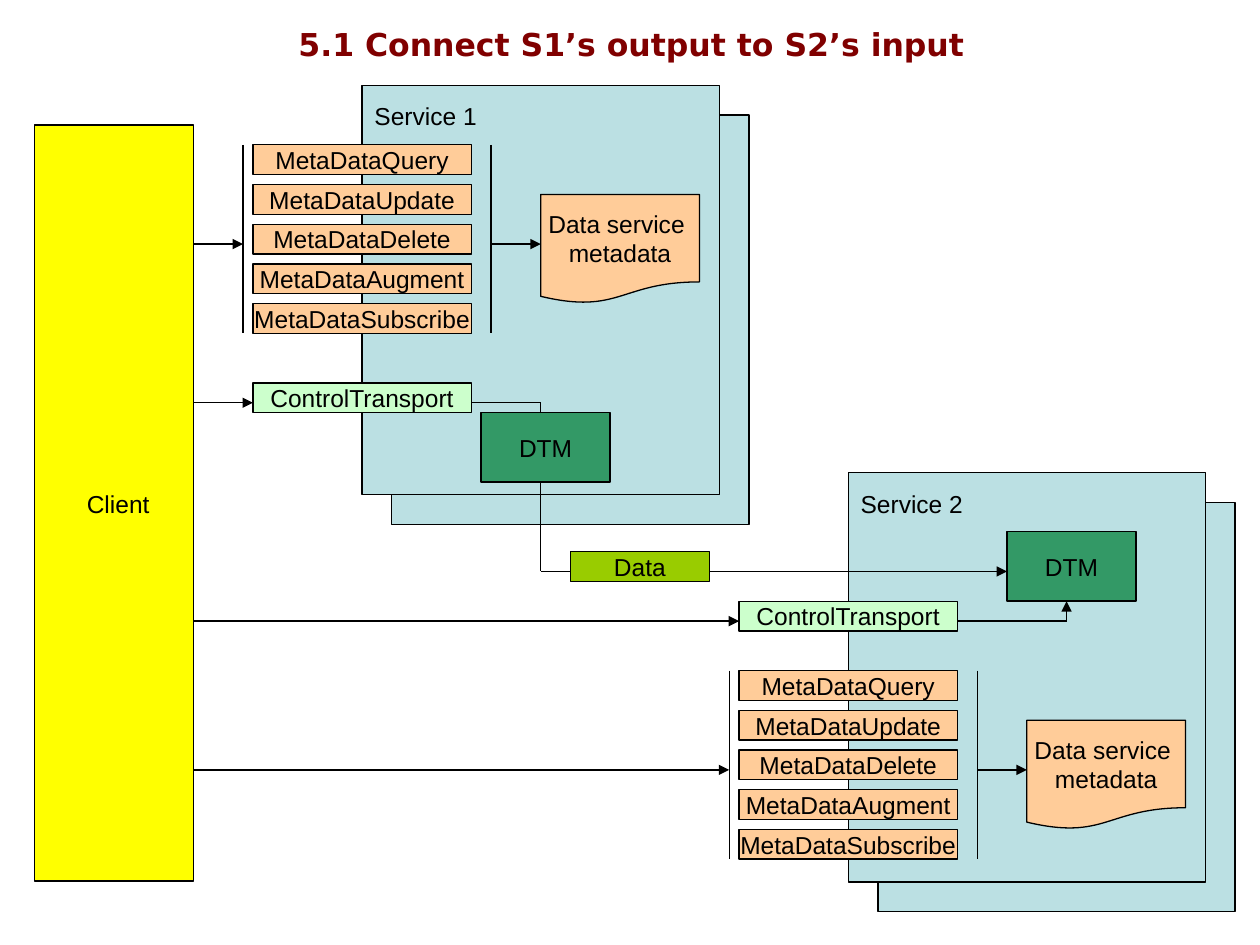
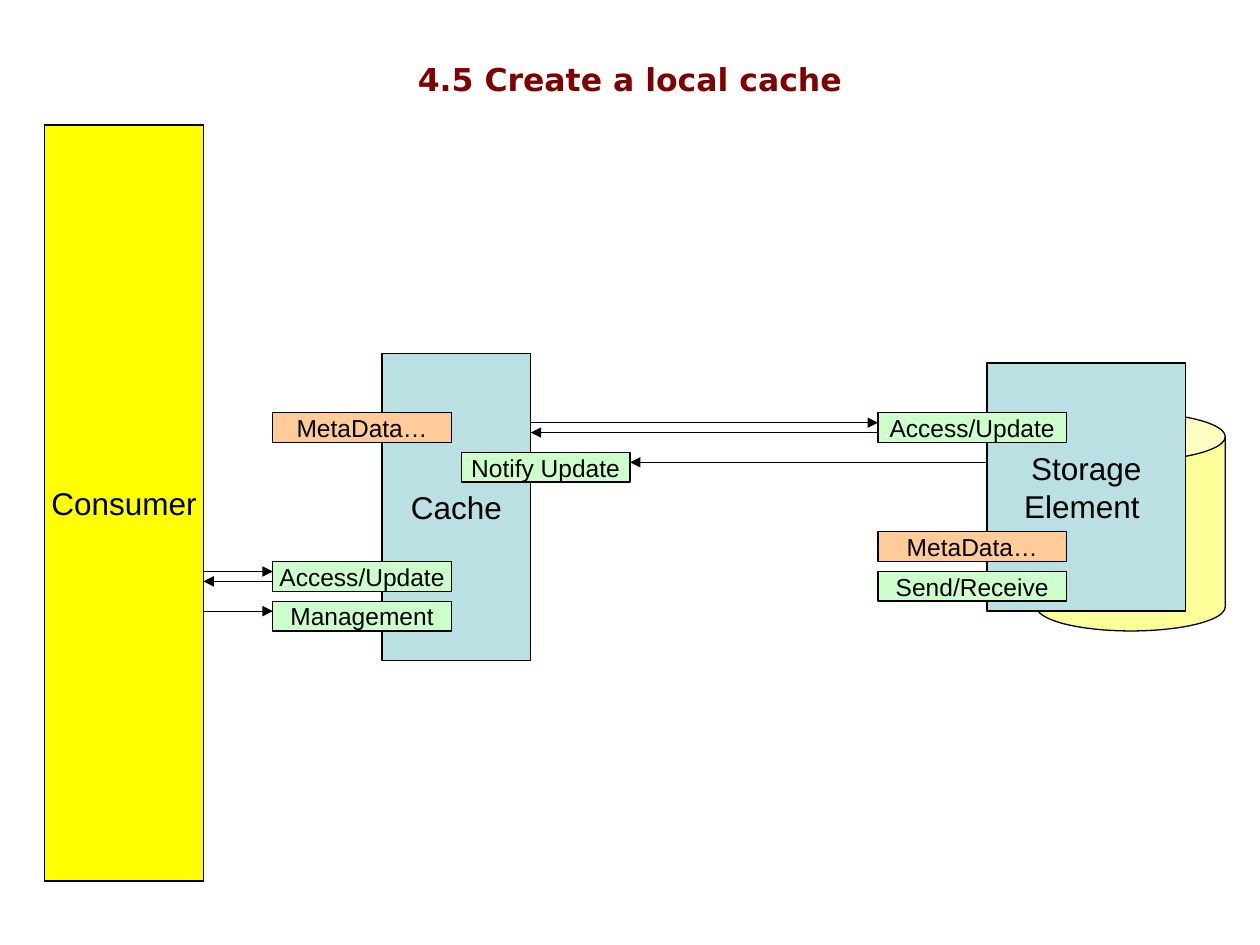
from lxml import etree
from pptx import Presentation
from pptx.dml.color import RGBColor
from pptx.enum.shapes import MSO_CONNECTOR, MSO_SHAPE
from pptx.enum.text import MSO_ANCHOR, MSO_AUTO_SIZE, PP_ALIGN
from pptx.oxml.ns import qn
from pptx.util import Cm, Pt

RECTANGLE = MSO_SHAPE.RECTANGLE
DOCUMENT = MSO_SHAPE.FLOWCHART_DOCUMENT
CAN = MSO_SHAPE.CAN
STRAIGHT = MSO_CONNECTOR.STRAIGHT
MIDDLE, TOP = MSO_ANCHOR.MIDDLE, MSO_ANCHOR.TOP
CENTER, LEFT = PP_ALIGN.CENTER, PP_ALIGN.LEFT
NO_AUTOFIT = MSO_AUTO_SIZE.NONE

COLORS = {
    "title": "800000",
    "ink": "000000",
    "actor": "FFFF00",
    "service": "BBE0E3",
    "metadata": "FFCC99",
    "control": "CCFFCC",
    "transport": "339966",
    "data": "99CC00",
    "storage": "FFFF99",
}
OPERATIONS = ["Query", "Update", "Delete", "Augment", "Subscribe"]
TITLE_ONLY = 5

# Shared sizes in centimetres
ACTOR_TOP, ACTOR_WIDTH, ACTOR_HEIGHT = 2.52, 3.2, 15.24
PORT_HEIGHT, PORT_STEP = 0.6, 0.8
PORT_WIDTH = 4.4
DTM_WIDTH, DTM_HEIGHT = 2.6, 1.4


class Diagram:
    """Holds the style and the slide being drawn."""

    def __init__(self, presentation):
        self.presentation = presentation
        self.slide = None

    def color(self, name):
        return RGBColor.from_string(COLORS[name])

    def set_text(self, frame, lines, size, font="Arial", color="ink",
                 bold=False, align=CENTER, anchor=MIDDLE, wrap=False):
        frame.auto_size = NO_AUTOFIT
        frame.word_wrap = wrap
        frame.vertical_anchor = anchor
        for index, line in enumerate(lines):
            paragraph = frame.add_paragraph() if index else frame.paragraphs[0]
            paragraph.alignment = align
            run = paragraph.add_run()
            run.text = line
            run.font.name = font
            run.font.size = Pt(size)
            run.font.bold = bold
            run.font.color.rgb = self.color(color)

    def start(self, title, left, width, height):
        layout = self.presentation.slide_layouts[TITLE_ONLY]
        self.slide = self.presentation.slides.add_slide(layout)
        shape = self.slide.shapes.title
        shape.left, shape.top = Cm(left), Cm(0)
        shape.width, shape.height = Cm(width), Cm(height)
        self.set_text(shape.text_frame, [title], 18, "DejaVu Sans", "title",
                      bold=True, wrap=True)

    def box(self, left, top, width, height, fill, *lines, size=14,
            kind=RECTANGLE):
        shape = self.slide.shapes.add_shape(
            kind, Cm(left), Cm(top), Cm(width), Cm(height))
        shape.shadow.inherit = False
        shape.fill.solid()
        shape.fill.fore_color.rgb = self.color(fill)
        shape.line.color.rgb = self.color("ink")
        shape.line.width = Pt(0.75)
        self.set_text(shape.text_frame, lines, size)
        return shape

    def port(self, left, top, text, fill="control", width=PORT_WIDTH):
        self.box(left, top, width, PORT_HEIGHT, fill, text)

    def actor(self, left, *lines):
        self.box(left, ACTOR_TOP, ACTOR_WIDTH, ACTOR_HEIGHT, "actor", *lines,
                 size=18)

    def label(self, left, top, text):
        shape = self.slide.shapes.add_textbox(
            Cm(left), Cm(top), Cm(3), Cm(0.86))
        self.set_text(shape.text_frame, [text], 14, align=LEFT, anchor=TOP,
                      wrap=True)

    def line(self, x1, y1, x2, y2, arrow=False):
        connector = self.slide.shapes.add_connector(
            STRAIGHT, Cm(x1), Cm(y1), Cm(x2), Cm(y2))
        connector.line.color.rgb = self.color("ink")
        connector.line.width = Pt(0.75)
        properties = connector._element.spPr
        if arrow:
            outline = properties.find(qn("a:ln"))
            etree.SubElement(outline, qn("a:tailEnd"), type="triangle")
        etree.SubElement(properties, qn("a:effectLst"))

    def arrow(self, x1, y1, x2, y2):
        self.line(x1, y1, x2, y2, arrow=True)

    def service(self, left, top, name):
        for shift in (0.6, 0):
            self.box(left + shift, top + shift, 7.2, 8.25, "service")
        self.label(left, top + 0.2, name)

    def metadata(self, left, top, client_right):
        """Five metadata ports between two bars, fed by the client."""
        for row, operation in enumerate(OPERATIONS):
            self.port(left, top + row * PORT_STEP, "MetaData" + operation,
                      "metadata")
        left_bar, right_bar = left - 0.2, left + PORT_WIDTH + 0.4
        for x in (left_bar, right_bar):
            self.line(x, top, x, top + 3.8)
        store, middle = right_bar + 1, top + 2
        self.box(store, top + 1, 3.2, 2.2, "metadata",
                 "Data service ", "metadata", kind=DOCUMENT)
        self.arrow(client_right, middle, left_bar, middle)
        self.arrow(right_bar, middle, store, middle)

    def control(self, left, top, client_right):
        self.port(left, top, "ControlTransport")
        self.arrow(client_right, top + 0.4, left, top + 0.4)

    def dtm(self, left, top):
        self.box(left, top, DTM_WIDTH, DTM_HEIGHT, "transport", "DTM")


def draw_connection(diagram):
    diagram.start("5.1 Connect S1’s output to S2’s input", 1.3, 22.86, 1.78)

    # Client
    client = 0.7
    client_right = client + ACTOR_WIDTH
    diagram.actor(client)
    diagram.label(client + 0.8, 9.73, "Client")

    # Services with their metadata and control ports
    first_port, second_port = 5.1, 14.9
    for name, port, top, metadata_top, control_top in (
            ("Service 1", first_port, 1.72, 2.92, 7.72),
            ("Service 2", second_port, 9.53, 13.52, 12.12)):
        diagram.service(port + 2.2, top, name)
        diagram.metadata(port, metadata_top, client_right)
        diagram.control(port, control_top, client_right)

    # Data flow from the first DTM to the second
    bend, second_dtm, data_y = 10.9, 20.3, 11.52
    diagram.line(first_port + PORT_WIDTH, 8.12, bend, 8.12)
    diagram.line(bend, 8.12, bend, data_y)
    diagram.arrow(bend, data_y, second_dtm, data_y)
    diagram.port(11.5, 11.12, "Data", "data", 2.8)
    diagram.dtm(9.7, 8.32)
    diagram.dtm(second_dtm, 10.72)

    # Control of the second DTM
    diagram.line(second_port + PORT_WIDTH, 12.52, 21.5, 12.52)
    diagram.arrow(21.5, 12.52, 21.5, 10.72 + DTM_HEIGHT)


def draw_cache(diagram):
    diagram.start("4.5 Create a local cache", 0, 25.4, 3.18)

    # Consumer, cache and storage
    consumer, cache, storage = 0.9, 7.7, 19.9
    diagram.actor(consumer, "Consumer")
    diagram.box(cache, 7.12, 3, 6.2, "service", "Cache", size=18)
    can = diagram.box(20.9, 8.32, 3.8, 4.4, "storage", kind=CAN)
    can.adjustments[0] = 0.255
    diagram.box(storage, 7.32, 4, 5, "service", "Storage", "Element ", size=18)

    # Ports
    cache_port, notify_port, storage_port = 5.5, 9.3, 17.7
    for left, top, width, text, fill in (
            (cache_port, 8.32, 3.6, "MetaData…", "metadata"),
            (cache_port, 11.32, 3.6, "Access/Update", "control"),
            (cache_port, 12.12, 3.6, "Management", "control"),
            (notify_port, 9.12, 3.4, "Notify Update", "control"),
            (storage_port, 8.32, 3.8, "Access/Update", "control"),
            (storage_port, 10.72, 3.8, "MetaData…", "metadata"),
            (storage_port, 11.52, 3.8, "Send/Receive", "control")):
        diagram.port(left, top, text, fill, width)

    # Messages
    consumer_right, cache_right = consumer + ACTOR_WIDTH, cache + 3
    for start, end, y in (
            (consumer_right, cache_port, 11.52),
            (cache_port, consumer_right, 11.72),
            (consumer_right, cache_port, 12.32),
            (cache_right, storage_port, 8.52),
            (storage_port, cache_right, 8.72),
            (storage, notify_port + 3.4, 9.32)):
        diagram.arrow(start, y, end, y)


def main():
    presentation = Presentation()
    presentation.slide_width, presentation.slide_height = Cm(25.4), Cm(19.05)
    diagram = Diagram(presentation)
    draw_connection(diagram)
    draw_cache(diagram)
    presentation.save("out.pptx")


if __name__ == "__main__":
    main()
